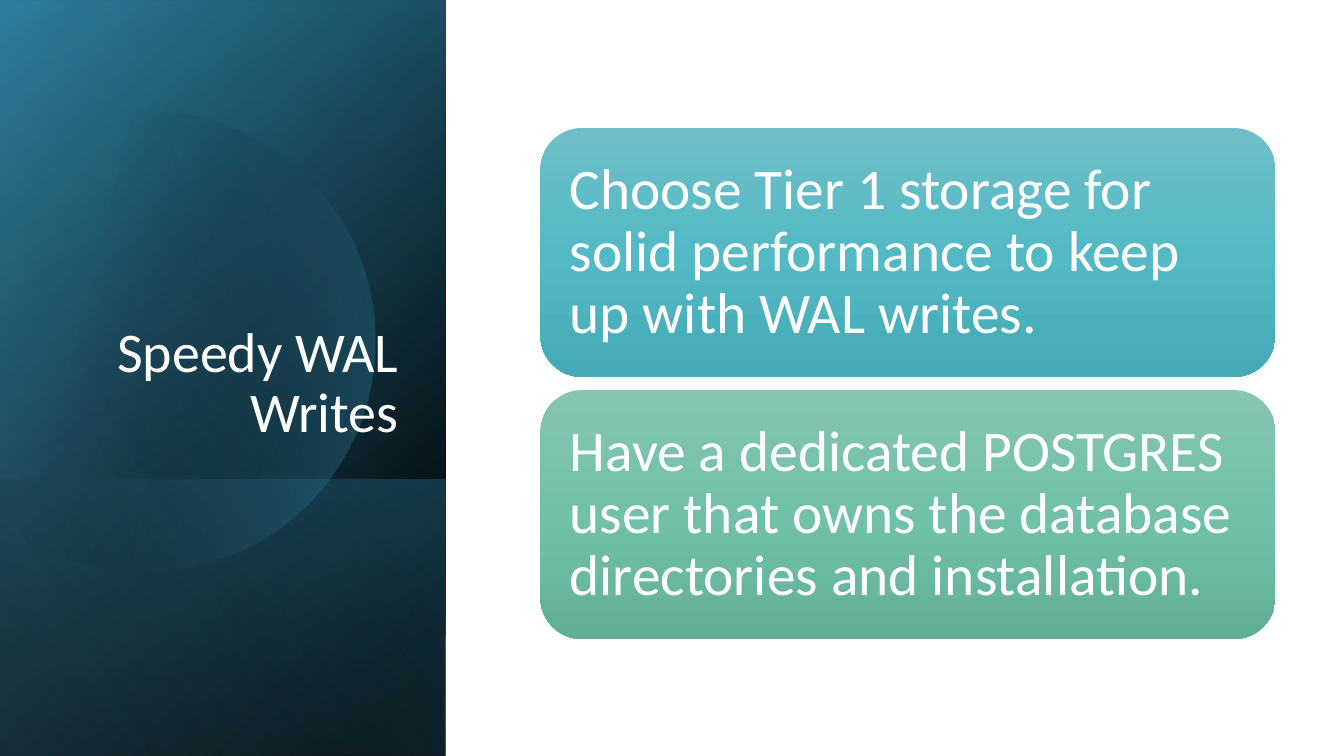
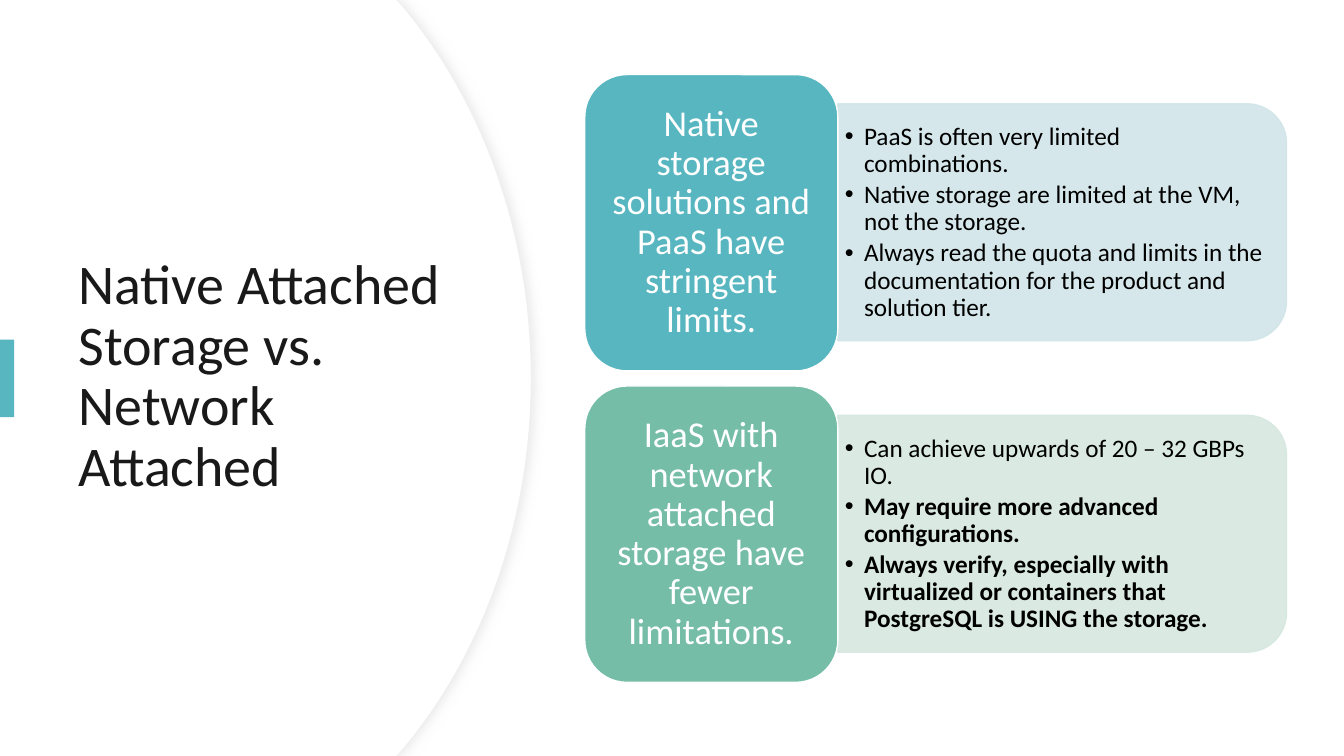
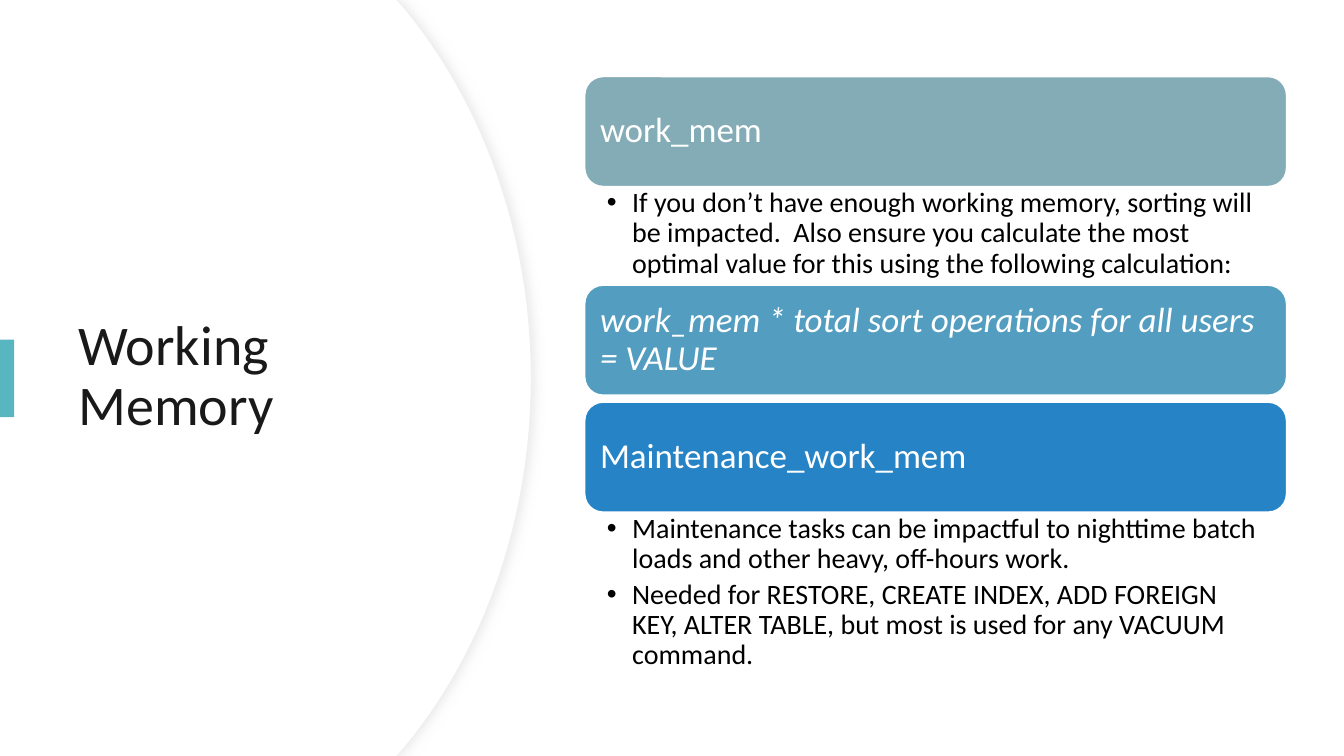
from pptx import Presentation
from pptx.dml.color import RGBColor
from pptx.enum.shapes import MSO_SHAPE as Kind
from pptx.enum.text import MSO_ANCHOR as Anchor, PP_ALIGN as Align
from pptx.oxml.ns import qn
from pptx.util import Inches, Pt
from lxml.etree import SubElement as Sub

FONT = "Calibri"
WHITE, BLACK, INK = "FFFFFF", "000000", "191919"
TEAL, GREEN, BLUE = "58B6C0", "75BDA7", "3494BA"
EDGE, SHADE = "EFEFEF", "D9D9D9"

BANDS = [
    ((-1.54, 1.54, 7.5, 4.42), 50, [(8, BLACK, 100), (100, "276F8B", 100)]),
    ((-1.54, 1.55, 7.5, 4.42), 30, [(0, BLACK, 0), (99, BLUE, 46)]),
    ((0.84, 3.92, 2.74, 4.42), 130, [(2, BLUE, 29), (100, BLACK, 30)]),
    ((-1.54, 1.54, 7.5, 4.42), 120, [(0, BLACK, 0), (99, "7FC1DB", 11)]),
]
DISC = [
    (1.49, 1.1),
    (2.46, 1.12, 3.35, 1.77, 3.63, 2.75),
    (3.98, 3.97, 3.28, 5.23, 2.07, 5.58),
    (1.31, 5.8, 0.53, 5.61, -0.03, 5.14),
    (-0.15, 5.03), (-0.15, 1.75), (0, 1.61),
    (0.23, 1.42, 0.5, 1.28, 0.8, 1.19),
    (1.03, 1.13, 1.26, 1.1, 1.49, 1.1),
]
PANEL = [
    (0, 0), (3.94, 0), (4.01, 0.08),
    (4.79, 1.02, 5.27, 2.32, 5.27, 3.75),
    (5.27, 5.18, 4.79, 6.48, 4.01, 7.42),
    (3.94, 7.5), (0, 7.5),
]
TIPS = [
    ("Choose Tier 1 storage for solid performance to keep up with WAL writes.",
     ["6FBEC7", "53BAC5", "44AAB5"]),
    ("Have a dedicated POSTGRES user that owns the database directories and installation.",
     ["86C5B1", "71C1A8", "61AF97"]),
]
KINDS = [
    ("Native storage solutions and PaaS have stringent limits.", TEAL, "D1E5E8", [
        ("PaaS is often very limited combinations.", False),
        ("Native storage are limited at the VM, not the storage.", False),
        ("Always read the quota and limits in the documentation for the product "
         "and solution tier.", False)]),
    ("IaaS with network attached storage have fewer limitations.", GREEN, "D6E8E1", [
        ("Can achieve upwards of 20 – 32 GBPs IO.", False),
        ("May require more advanced configurations.", True),
        ("Always verify, especially with virtualized or containers that PostgreSQL "
         "is USING the storage.", True)]),
]
MEMORY = [
    ("work_mem", "84ACB6", False, 0.99, [
        "If you don’t have enough working memory, sorting will be impacted.  Also ensure "
        "you calculate the most optimal value for this using the following calculation:"]),
    ("work_mem * total sort operations for all users = VALUE", "539EC0", True, 0.08, []),
    ("Maintenance_work_mem", "2683C6", False, 1.67, [
        "Maintenance tasks can be impactful to nighttime batch loads and other heavy, "
        "off-hours work.",
        "Needed for RESTORE, CREATE INDEX, ADD FOREIGN KEY, ALTER TABLE, but most is used "
        "for any VACUUM command."]),
]

deck = Presentation()
deck.slide_width, deck.slide_height = Inches(13.33), Inches(7.5)


def new_slide():
    return deck.slides.add_slide(deck.slide_layouts[6])


def rgb(code):
    return RGBColor.from_string(code)


def tint(fill, code, alpha=100):
    fill.solid()
    fill.fore_color.rgb = rgb(code)
    if alpha < 100:
        node = fill._xPr.find(qn("a:solidFill"))[0]
        Sub(node, qn("a:alpha"), val=str(alpha * 1000))


def blend(shape, angle, stops):
    shape.fill.gradient()
    grad = shape._element.spPr.find(qn("a:gradFill"))
    grad.find(qn("a:lin")).set("ang", str(angle * 60000))
    row = grad.find(qn("a:gsLst"))
    for old in list(row):
        row.remove(old)
    for pos, code, alpha in stops:
        stop = Sub(row, qn("a:gs"), pos=str(pos * 1000))
        color = Sub(stop, qn("a:srgbClr"), val=code)
        Sub(color, qn("a:alpha"), val=str(alpha * 1000))


def plain(shape):
    shape.shadow.inherit = False
    shape.line.fill.background()
    return shape


def add_box(slide, kind, at, fill=None, line=None, alpha=100):
    box = plain(slide.shapes.add_shape(kind, *map(Inches, at)))
    if fill:
        tint(box.fill, fill, alpha)
    if line:
        tint(box.line.fill, line, alpha)
        box.line.width = Pt(1)
    return box


def add_path(slide, parts, dx=0):
    spots = [parts[0]]
    for part in parts[1:]:
        if len(part) == 2:
            spots.append(part)
            continue
        knots = [spots[-1], part[:2], part[2:4], part[4:]]
        for n in range(1, 25):
            t = n / 24
            mix = ((1 - t) ** 3, 3 * t * (1 - t) ** 2, 3 * t * t * (1 - t), t ** 3)
            spots.append(tuple(sum(m * k[i] for m, k in zip(mix, knots)) for i in (0, 1)))
    spots = [(Inches(x + dx), Inches(y)) for x, y in spots]
    pen = slide.shapes.build_freeform(*spots[0])
    pen.add_line_segments(spots[1:], close=True)
    return plain(pen.convert_to_shape())


def write(shape, lines, size, color, pad, anchor=Anchor.MIDDLE, align=Align.LEFT,
          hang=0, gap=0, bold=(), italic=False):
    frame = shape.text_frame
    frame.word_wrap = True
    frame.vertical_anchor = anchor
    (frame.margin_left, frame.margin_top,
     frame.margin_right, frame.margin_bottom) = map(Inches, pad)
    for n, line in enumerate(lines):
        para = frame.paragraphs[0] if n == 0 else frame.add_paragraph()
        para.text = line
        para.alignment = align
        para.line_spacing = 0.9
        para.space_after = Pt(gap)
        if hang:
            props = para._p.get_or_add_pPr()
            props.set("marL", str(Inches(hang)))
            props.set("indent", str(-Inches(hang)))
            Sub(props, qn("a:buFont"), typeface="Arial")
            Sub(props, qn("a:buChar"), char="•")
        font = para.font
        font.name, font.size, font.color.rgb = FONT, Pt(size), rgb(color)
        font.bold = bool(bold and bold[n])
        font.italic = italic


def add_text(slide, at, *args, **style):
    write(slide.shapes.add_textbox(*map(Inches, at)), *args, **style)


def add_title(slide, at, text, color, **style):
    add_text(slide, at, [text], 40, color, (0.1, 0.05, 0.1, 0.05), **style)


def panel_slide(title):
    slide = new_slide()
    rim = add_path(slide, PANEL)
    tint(rim.fill, WHITE)
    tint(rim.line.fill, EDGE)
    rim.line.width = Pt(0.75)
    glow = Sub(rim._element.spPr.find(qn("a:effectLst")), qn("a:outerShdw"),
               blurRad=str(Pt(7)), dist=str(Pt(3)), dir="0", rotWithShape="0")
    Sub(Sub(glow, qn("a:srgbClr"), val=SHADE), qn("a:alpha"), val="50000")
    tint(add_path(slide, PANEL, -0.01).fill, WHITE)
    add_title(slide, (0.68, 1.27, 3.94, 4.95), title, INK)
    add_box(slide, Kind.RECTANGLE, (0, 3.37, 0.14, 0.77), TEAL)
    return slide


def wal_slide():
    slide = new_slide()
    for n, (at, angle, stops) in enumerate(BANDS):
        if n == 3:
            blend(add_path(slide, DISC), 14, [(29, BLACK, 0), (100, BLUE, 43)])
        band = add_box(slide, Kind.RECTANGLE, at)
        band.rotation = 90
        band._element.spPr.find(qn("a:xfrm")).set("flipH", "1")
        blend(band, angle, stops)
    add_title(slide, (0.64, 1.84, 3.41, 2.62), "Speedy WAL Writes", WHITE,
              anchor=Anchor.BOTTOM, align=Align.RIGHT)
    for n, (text, shades) in enumerate(TIPS):
        card = add_box(slide, Kind.ROUNDED_RECTANGLE, (5.36, 1.27 + 2.6 * n, 7.29, 2.47))
        blend(card, 90, [(50 * i, shade, 100) for i, shade in enumerate(shades)])
        write(card, [text], 41, WHITE, (0.17,) * 4)


def storage_slide():
    slide = panel_slide("Native Attached Storage vs. Network Attached")
    for n, (head, dark, light, points) in enumerate(KINDS):
        top = 0.74 + 3.09 * n
        tab = add_box(slide, Kind.ROUND_2_SAME_RECTANGLE, (9.36, top - 0.76, 2.35, 4.45),
                      light, light, 90)
        tab.rotation = 90
        lines, bold = zip(*points)
        add_text(slide, (8.31, top + 0.41, 4.34, 2.12), lines, 18, BLACK,
                 (0.07, 0.04, 0.07, 0.04), hang=0.19, gap=2.7, bold=bold)
        card = add_box(slide, Kind.ROUNDED_RECTANGLE, (5.8, top, 2.51, 2.94), dark, WHITE)
        write(card, [head], 26, WHITE, (0.11, 0.05, 0.11, 0.05), align=Align.CENTER)


def memory_slide():
    slide = panel_slide("Working Memory")
    top, bar = 0.76, 1.08
    for head, fill, italic, room, points in MEMORY:
        card = add_box(slide, Kind.ROUNDED_RECTANGLE, (5.8, top, 6.96, 1.09), fill, WHITE)
        write(card, [head], 25, WHITE, (0.1,) * 4, italic=italic)
        top += bar
        if points:
            add_text(slide, (5.8, top, 6.96, room), points, 20, BLACK,
                     (0.22, 0.03, 0.19, 0.03), anchor=Anchor.TOP, hang=0.25, gap=4)
        top += room


wal_slide()
storage_slide()
memory_slide()
deck.save("out.pptx")
